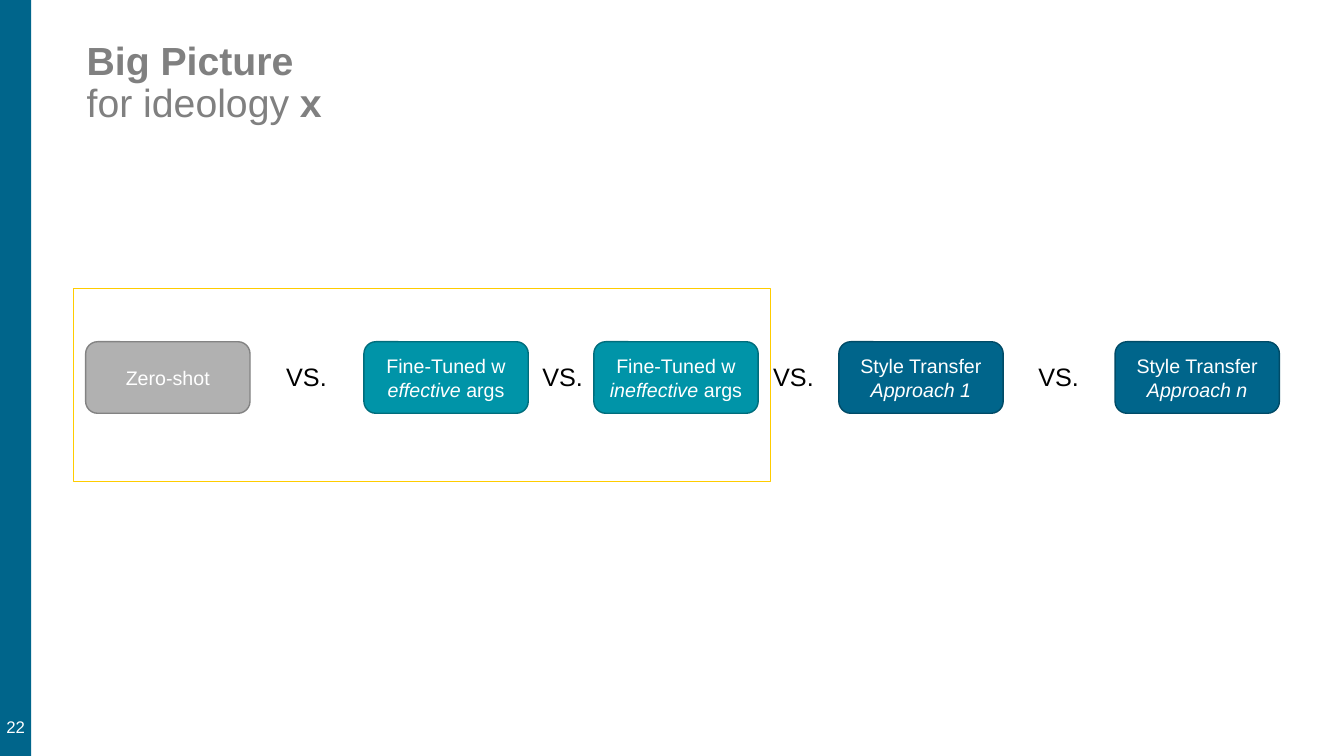
from dataclasses import dataclass

from pptx import Presentation
from pptx.dml.color import RGBColor
from pptx.enum.shapes import MSO_SHAPE as Shape
from pptx.enum.text import MSO_ANCHOR as Anchor, MSO_AUTO_SIZE as AutoSize, PP_ALIGN as Align
from pptx.util import Inches, Pt


@dataclass(frozen=True)
class Theme:
    font: str = "Arial"
    title_size: int = 28
    versus_size: int = 18
    box_size: int = 14
    number_size: int = 12
    title: str = "808080"
    text: str = "000000"
    light: str = "FFFFFF"
    frame: str = "FFCC00"
    # Fill and outline pairs
    gray: tuple = ("B1B1B1", "838383")
    teal: tuple = ("0094A8", "006D7C")
    blue: tuple = ("00658B", "004B67")


theme = Theme()


def set_font(paragraph, size, color):
    paragraph.font.name = theme.font
    paragraph.font.size = Pt(size)
    paragraph.font.color.rgb = RGBColor.from_string(color)


def add_block(kind, left, top, width, height, fill=None, line=None):
    """Add a shadowless shape; a missing fill or line is left transparent."""
    shape = slide.shapes.add_shape(
        kind, Inches(left), Inches(top), Inches(width), Inches(height))
    shape.shadow.inherit = False
    for part, color in ((shape.fill, fill), (shape.line.fill, line)):
        if color:
            part.solid()
            part.fore_color.rgb = RGBColor.from_string(color)
        else:
            part.background()
    if line:
        shape.line.width = Pt(1)
    return shape


presentation = Presentation()
presentation.slide_width = Inches(13.33)
presentation.slide_height = Inches(7.5)
slide = presentation.slides.add_slide(presentation.slide_layouts[5])

# Side bar with the slide number
bar_width = 0.31
add_block(Shape.RECTANGLE, 0, 0, bar_width, 7.5, fill=theme.blue[0])
number = slide.shapes.add_textbox(0, Inches(5.84), Inches(bar_width), Inches(1.57))
frame = number.text_frame
frame.word_wrap = False
frame.vertical_anchor = Anchor.BOTTOM
frame.margin_left = frame.margin_right = Inches(0.04)
frame.margin_top = frame.margin_bottom = Inches(0.1)
paragraph = frame.paragraphs[0]
paragraph.text = "22"
paragraph.alignment = Align.CENTER
set_font(paragraph, theme.number_size, theme.light)

# Title
title = slide.shapes.title
title.left, title.top = Inches(0.76), Inches(0.36)
title.width, title.height = Inches(11), Inches(1.08)
title.text_frame.vertical_anchor = Anchor.TOP
title.text_frame.auto_size = AutoSize.NONE
paragraph = title.text_frame.paragraphs[0]
paragraph.alignment = Align.LEFT
paragraph.line_spacing = 0.9
set_font(paragraph, theme.title_size, theme.title)
for text, bold in (("Big Picture", True), ("for ideology ", False), ("x", True)):
    run = paragraph.add_run()
    run.text = text
    run.font.bold = bold
    if text == "Big Picture":
        paragraph.add_line_break()

# Compared approaches: left edge, colours, lines of (text, italic) runs
approaches = [
    (0.85, theme.gray, [[("Zero-shot", False)]]),
    (3.61, theme.teal, [[("Fine-Tuned w", False)], [("effective ", True), ("args", False)]]),
    (5.89, theme.teal, [[("Fine-Tuned w", False)], [("ineffective ", True), ("args", False)]]),
    (8.32, theme.blue, [[("Style Transfer", False)], [("Approach 1", True)]]),
    (11.06, theme.blue, [[("Style Transfer", False)], [("Approach n", True)]]),
]
for left, (fill, line), lines in approaches:
    box = add_block(Shape.ROUNDED_RECTANGLE, left, 3.39, 1.63, 0.71, fill, line)
    frame = box.text_frame
    frame.word_wrap = True
    frame.vertical_anchor = Anchor.MIDDLE
    for index, runs in enumerate(lines):
        paragraph = frame.add_paragraph() if index else frame.paragraphs[0]
        paragraph.alignment = Align.CENTER
        set_font(paragraph, theme.box_size, theme.light)
        for text, italic in runs:
            run = paragraph.add_run()
            run.text = text
            run.font.italic = italic

for left in (2.74, 5.28, 7.57, 10.2):
    versus = slide.shapes.add_textbox(Inches(left), Inches(3.54), Inches(0.61), Inches(0.4))
    versus.text_frame.word_wrap = False
    versus.text_frame.auto_size = AutoSize.SHAPE_TO_FIT_TEXT
    paragraph = versus.text_frame.paragraphs[0]
    paragraph.text = "VS."
    set_font(paragraph, theme.versus_size, theme.text)

# Frame around the first three approaches
add_block(Shape.RECTANGLE, 0.73, 2.86, 6.91, 1.92, line=theme.frame)

presentation.save("out.pptx")
